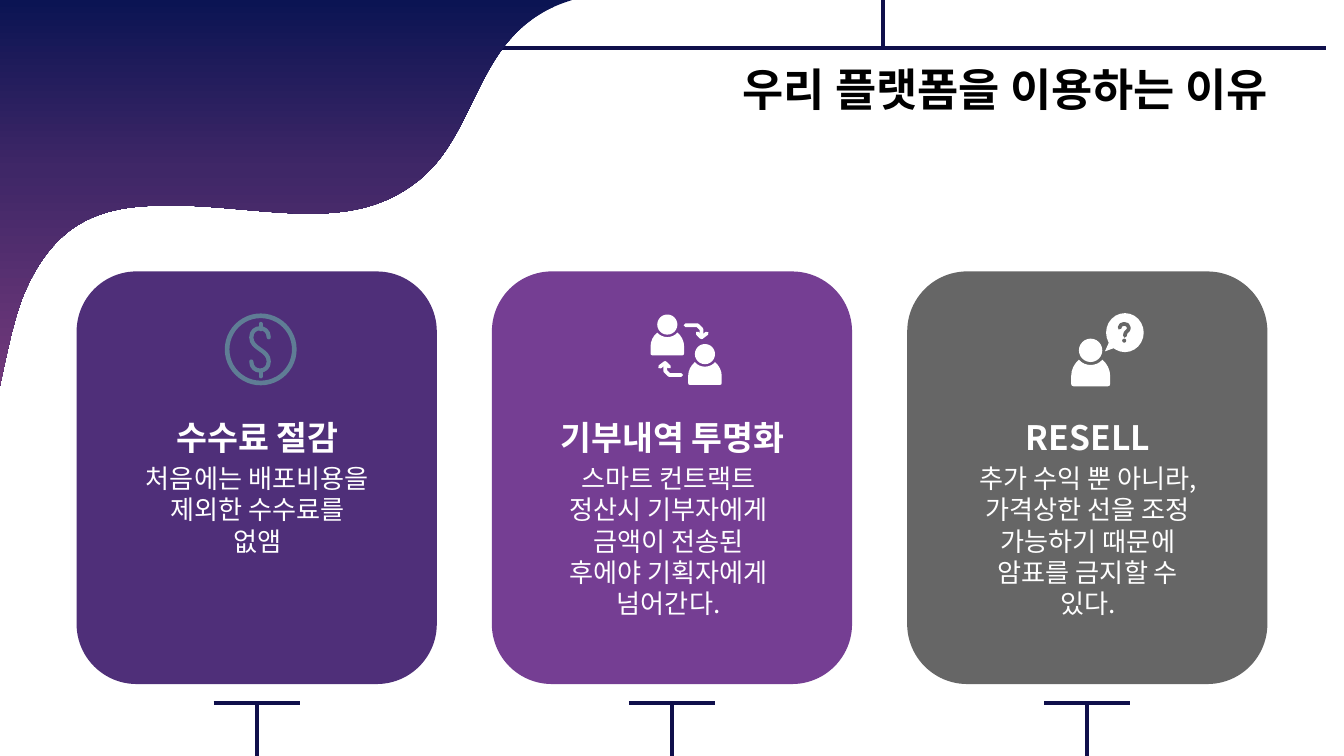
from copy import deepcopy
from dataclasses import dataclass

from lxml.etree import SubElement
from pptx import Presentation
from pptx.dml.color import RGBColor
from pptx.enum.shapes import MSO_CONNECTOR, MSO_SHAPE
from pptx.enum.text import MSO_ANCHOR, PP_ALIGN
from pptx.oxml.ns import qn
from pptx.util import Inches, Pt


@dataclass(frozen=True)
class Theme:
    """Colours, font and type sizes of the slide."""
    font: str = "Noto Sans CJK KR"
    ink: str = "000000"
    white: str = "FFFFFF"
    navy: str = "0F0F4B"
    coin: str = "5F7D95"
    cards: tuple = ("4F2F79", "753E93", "666666")
    wave: tuple = ((0, "0B1453"), (0.44, "3F2767"), (1, "72397B"))
    title: int = 24
    heading: int = 18
    body: int = 14
    rule: float = 2.25


THEME = Theme()
WIDTH, HEIGHT = 10, 10 * 9 / 16
CARD_LEFT, CARD_TOP, CARD_WIDTH, CARD_HEIGHT, PITCH = 0.57, 2.02, 2.68, 3.07, 3.09
CARDS = (
    ("수수료 절감", 0.96, ("처음에는 배포비용을 제외한 수수료를 없앰",)),
    ("기부내역 투명화", 4.02, ("스마트 컨트랙트", "정산시 기부자에게 금액이 전송된 후에야 기획자에게 넘어간다.")),
    ("RESELL", 7.14, ("추가 수익 뿐 아니라, 가격상한 선을 조정 가능하기 때문에 암표를 금지할 수 있다.",)),
)


def bend(shape):
    """Turn every three successive straight segments into one cubic curve."""
    for route in shape.element.iter(qn("a:path")):
        run = []
        for step in list(route):
            run = run + [step] if step.tag == qn("a:lnTo") else []
            if len(run) == 3:
                cubic = SubElement(route, qn("a:cubicBezTo"))
                run[0].addprevious(cubic)
                for segment in run:
                    cubic.append(segment[0])
                    route.remove(segment)
                run = []


def outline(page, contours, close, curved=True):
    """Add a freeform from contours, whose points are cubic controls if curved."""
    builder = None
    for contour in contours:
        points = [(Inches(x), Inches(y)) for x, y in contour]
        if builder is None:
            builder = page.shapes.build_freeform(*points[0], scale=1.0)
        else:
            builder.move_to(*points[0])
        builder.add_line_segments(points[1:], close=close)
    shape = builder.convert_to_shape()
    shape.shadow.inherit = False
    if curved:
        bend(shape)
    return shape


def paint(shape, color):
    """Fill a shape with a plain colour and no line."""
    shape.shadow.inherit = False
    shape.fill.solid()
    shape.fill.fore_color.rgb = RGBColor.from_string(color)
    shape.line.fill.background()


def ink(shape, color, width):
    """Leave a shape unfilled and draw its line with round ends."""
    shape.shadow.inherit = False
    shape.fill.background()
    shape.line.color.rgb = RGBColor.from_string(color)
    shape.line.width = Pt(width)
    shape.element.spPr.find(qn("a:ln")).set("cap", "rnd")


def preset(page, kind, left, top, width, height):
    """Add a preset shape measured in inches."""
    return page.shapes.add_shape(kind, *map(Inches, (left, top, width, height)))


def rule(page, x1, y1, x2, y2):
    """Add a straight navy line."""
    line = page.shapes.add_connector(MSO_CONNECTOR.STRAIGHT, *map(Inches, (x1, y1, x2, y2)))
    line.line.color.rgb = RGBColor.from_string(THEME.navy)
    line.line.width = Pt(THEME.rule)
    SubElement(line.element.spPr, qn("a:effectLst"))


def label(page, area, lines, size, color, align=PP_ALIGN.CENTER, bold=False,
          anchor=MSO_ANCHOR.TOP, side=0.1):
    """Add a wrapped text box with one paragraph per line."""
    box = page.shapes.add_textbox(*map(Inches, area))
    frame = box.text_frame
    frame.word_wrap = True
    frame.vertical_anchor = anchor
    frame.margin_left = frame.margin_right = Inches(side)
    frame.margin_top = frame.margin_bottom = Inches(0.1)
    frame.text = "\n".join(lines)
    for para in frame.paragraphs:
        para.alignment = align
        para.font.name = THEME.font
        para.font.size = Pt(size)
        para.font.bold = bold
        para.font.color.rgb = RGBColor.from_string(color)


def wave(page):
    """Add the gradient wave in the top left corner."""
    edge = [(0, 2.87), (0.05, 2.64), (0.1, 2.39), (0.17, 2.21), (0.4, 1.65), (0.75, 1.53), (1.22, 1.53),
            (1.33, 1.53), (1.44, 1.53), (1.56, 1.54), (1.84, 1.56), (2.08, 1.59), (2.3, 1.59),
            (2.6, 1.59), (2.85, 1.54), (3.08, 1.37), (3.59, 1), (3.51, 0.22), (4.26, 0), (0, 0)]
    shape = outline(page, [edge], True)
    shape.line.fill.background()
    shape.fill.gradient()
    shape.fill.gradient_angle = 270
    stops = shape.element.spPr.find(qn("a:gradFill")).find(qn("a:gsLst"))
    stops.insert(1, deepcopy(stops[0]))
    for stop, (position, color) in zip(shape.fill.gradient_stops, THEME.wave):
        stop.position = position
        stop.color.rgb = RGBColor.from_string(color)


def person(page, left, top, width):
    """Add a head and shoulders figure."""
    head = 0.6 * width
    paint(preset(page, MSO_SHAPE.OVAL, left + 0.2 * width, top, head, head), THEME.white)
    shoulders = [(0.2, 0), (0.08, 0.1), (0, 0.25), (0, 0.42), (0, 0.5), (0, 0.55), (0, 0.62),
                 (0, 0.66), (0.02, 0.68), (0.06, 0.68), (0.35, 0.68), (0.65, 0.68), (0.94, 0.68),
                 (0.98, 0.68), (1, 0.66), (1, 0.62), (1, 0.55), (1, 0.5), (1, 0.42),
                 (1, 0.25), (0.92, 0.1), (0.8, 0), (0.65, 0.18), (0.35, 0.18), (0.2, 0)]
    base = top + 0.9 * head
    paint(outline(page, [[(left + x * width, base + y * width) for x, y in shoulders]], True), THEME.white)


def coin_icon(page):
    """Add the coin with a dollar sign."""
    ink(preset(page, MSO_SHAPE.OVAL, 1.69, 2.35, 0.5, 0.5), THEME.coin, 2.5)
    letter = [(2, 2.51), (2, 2.42), (1.87, 2.42), (1.87, 2.51), (1.87, 2.6), (2, 2.6), (2, 2.69),
              (2, 2.78), (1.87, 2.78), (1.87, 2.69)]
    bars = [[(1.94, y), (1.94, y + 0.04)] for y in (2.41, 2.76)]
    ink(outline(page, [letter] + bars, False), THEME.coin, 2.25)


def exchange_icon(page):
    """Add two people with arrows between them."""
    person(page, 4.84, 2.34, 0.25)
    person(page, 5.12, 2.56, 0.25)
    arrow = [[(5.1, 2.42), (5.19, 2.42), (5.22, 2.45), (5.22, 2.51)],
             [(5.19, 2.48), (5.22, 2.51), (5.26, 2.48)]]
    turned = [[(10.17 - x, 5.21 - y) for x, y in contour] for contour in arrow]
    for contours in (arrow, turned):
        ink(outline(page, contours, False, curved=False), THEME.white, 2)


def question_icon(page):
    """Add a person with a question in a speech bubble."""
    person(page, 7.97, 2.52, 0.29)
    bubble = preset(page, MSO_SHAPE.OVAL_CALLOUT, 8.23, 2.33, 0.28, 0.29)
    bubble.adjustments[0], bubble.adjustments[1] = -0.53, 0.48
    paint(bubble, THEME.white)
    hook = [(8.33, 2.44), (8.33, 2.4), (8.4, 2.4), (8.4, 2.44), (8.4, 2.47), (8.37, 2.46), (8.37, 2.5)]
    ink(outline(page, [hook], False), THEME.cards[2], 2)
    paint(preset(page, MSO_SHAPE.OVAL, 8.35, 2.52, 0.03, 0.03), THEME.cards[2])


def card(page, column, heading, text_left, lines):
    """Add one card with its heading, text and stand."""
    left = CARD_LEFT + column * PITCH
    center = left + CARD_WIDTH / 2
    panel = preset(page, MSO_SHAPE.ROUNDED_RECTANGLE, left, CARD_TOP, CARD_WIDTH, CARD_HEIGHT)
    paint(panel, THEME.cards[column])
    rule(page, center, HEIGHT, center, 5.23)
    rule(page, center - 0.32, 5.23, center + 0.32, 5.23)
    label(page, (text_left, 3.34, 1.91, 1.34), lines, THEME.body, THEME.white, side=0.11)
    label(page, (center - 1.03, 3.07, 2.07, 0.43), [heading], THEME.heading, THEME.white,
          bold=True, anchor=MSO_ANCHOR.BOTTOM)


def main():
    """Build and save the slide."""
    deck = Presentation()
    deck.slide_width, deck.slide_height = Inches(WIDTH), Inches(HEIGHT)
    page = deck.slides.add_slide(deck.slide_layouts[6])
    rule(page, 3.27, 0.36, 9.87, 0.36)
    rule(page, 6.57, 0, 6.57, 0.36)
    wave(page)
    label(page, (3.61, 0.36, 5.92, 0.53), ["우리 플랫폼을 이용하는 이유"], THEME.title, THEME.ink,
          align=PP_ALIGN.RIGHT, bold=True)
    for column, content in enumerate(CARDS):
        card(page, column, *content)
    for icon in (coin_icon, exchange_icon, question_icon):
        icon(page)
    deck.save("out.pptx")


if __name__ == "__main__":
    main()
